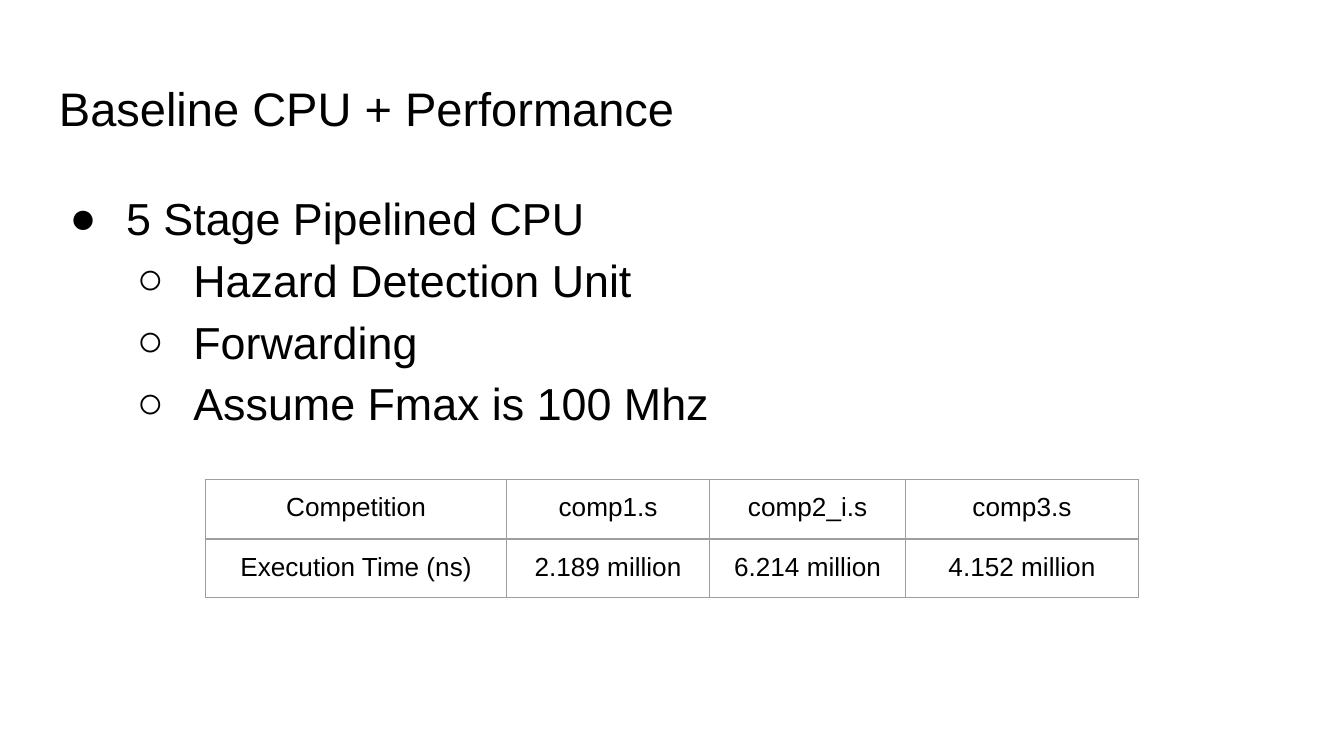
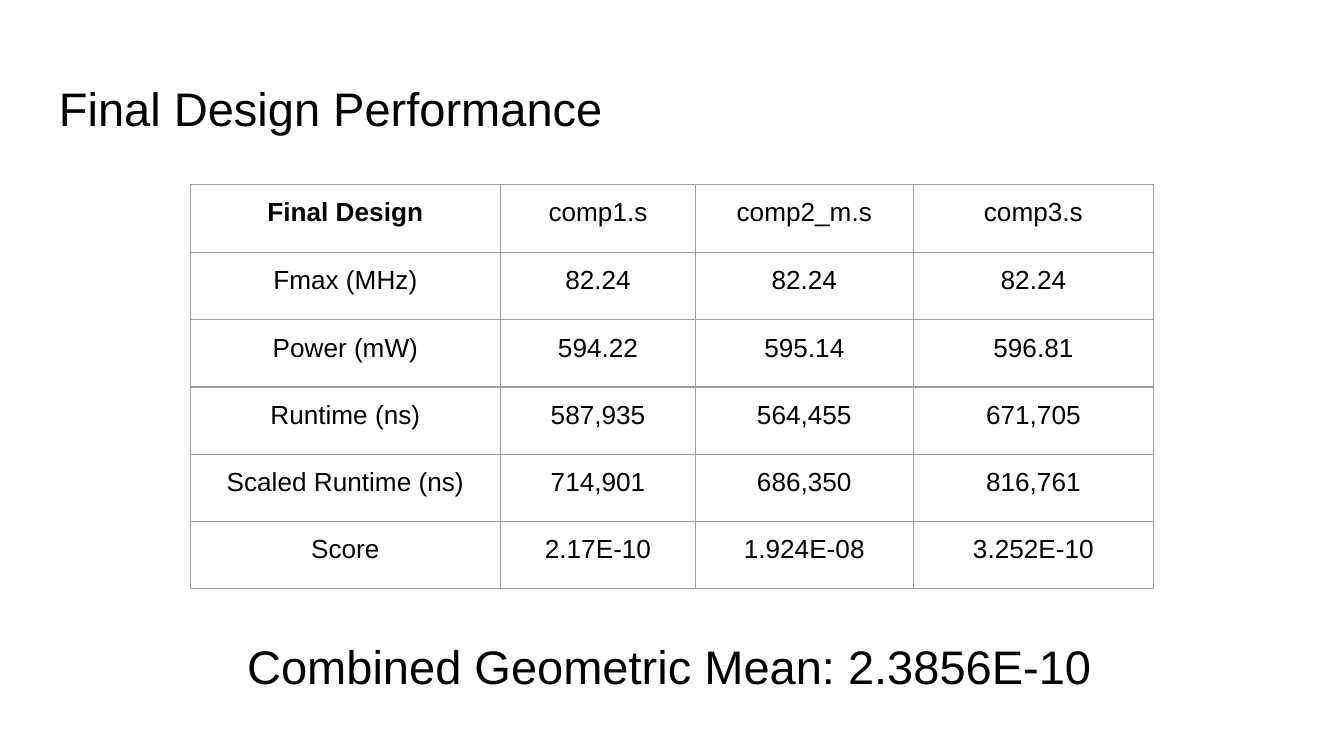
"""Build two slides on the performance of a pipelined CPU."""
from lxml.etree import SubElement
from pptx import Presentation
from pptx.dml.color import RGBColor
from pptx.enum.text import MSO_ANCHOR, PP_ALIGN
from pptx.oxml.ns import qn
from pptx.util import Inches, Pt

WIDTH = 10
HEIGHT = WIDTH * 9 / 16
INSET = 0.1
FONT = "Arial"
COLORS = {"text": "000000", "border": "9E9E9E"}
SIZES = {"title": 25.2, "body": 24, "cell": 14}
TITLE = {"top": 0.49, "width": 9.32, "height": 0.63}
BULLETS = "●○"
INDENT, HANGING = 0.5, 0.42

SLIDES = [
    {
        "title": "Baseline CPU + Performance",
        "features": [
            (0, "5 Stage Pipelined CPU"),
            (1, "Hazard Detection Unit"),
            (1, "Forwarding"),
            (1, "Assume Fmax is 100 Mhz"),
        ],
        "results": {
            "top": 3.57,
            "columns": [2.24, 1.51, 1.46, 1.73],
            "row_heights": [0.44, 0.43],
            "bold_corner": False,
            "rows": [
                ("Competition", "comp1.s", "comp2_i.s", "comp3.s"),
                ("Execution Time (ns)", "2.189 million", "6.214 million", "4.152 million"),
            ],
        },
    },
    {
        "title": "Final Design Performance",
        "results": {
            "top": 1.37,
            "columns": [2.31, 1.45, 1.62, 1.79],
            "row_heights": [0.51] + [0.5] * 5,
            "bold_corner": True,
            "rows": [
                ("Final Design", "comp1.s", "comp2_m.s", "comp3.s"),
                ("Fmax (MHz)", "82.24", "82.24", "82.24"),
                ("Power (mW)", "594.22", "595.14", "596.81"),
                ("Runtime (ns)", "587,935", "564,455", "671,705"),
                ("Scaled Runtime (ns)", "714,901", "686,350", "816,761"),
                ("Score", "2.17E-10", "1.924E-08", "3.252E-10"),
            ],
        },
        "summary": "Combined Geometric Mean: 2.3856E-10",
    },
]


def centered(top, width, height):
    return [Inches(n) for n in ((WIDTH - width) / 2, top, width, height)]


def set_insets(holder):
    holder.margin_left = holder.margin_right = Inches(INSET)
    holder.margin_top = holder.margin_bottom = Inches(INSET)


def style(paragraph, role, bold=False):
    font = paragraph.font
    font.name, font.size, font.bold = FONT, Pt(SIZES[role]), bold
    font.color.rgb = RGBColor.from_string(COLORS["text"])


def add_frame(slide, top, width, height):
    frame = slide.shapes.add_textbox(*centered(top, width, height)).text_frame
    frame.word_wrap = True
    frame.vertical_anchor = MSO_ANCHOR.TOP
    set_insets(frame)
    return frame


def add_heading(slide, text, top, width, height):
    heading = add_frame(slide, top, width, height).paragraphs[0]
    heading.text = text
    style(heading, "title")


def add_bullet(paragraph, level):
    properties = paragraph._p.get_or_add_pPr()
    properties.set("marL", str(Inches(INDENT * (level + 1))))
    properties.set("indent", str(-Inches(HANGING)))
    color = SubElement(properties, qn("a:buClr"))
    SubElement(color, qn("a:srgbClr"), val=COLORS["text"])
    SubElement(properties, qn("a:buFont"), typeface=FONT)
    SubElement(properties, qn("a:buChar"), char=BULLETS[level])


def add_features(slide, features):
    frame = add_frame(slide, 1.26, TITLE["width"], 1.83)
    frame.text = "\n".join(text for _, text in features)
    for paragraph, (level, _) in zip(frame.paragraphs, features):
        paragraph.level = level
        add_bullet(paragraph, level)
        paragraph.line_spacing = 1.15
        style(paragraph, "body")


def add_borders(cell):
    properties = cell._tc.get_or_add_tcPr()
    for side in ("lnL", "lnR", "lnT", "lnB"):
        line = SubElement(properties, qn(f"a:{side}"), w=str(Pt(0.75)))
        fill = SubElement(line, qn("a:solidFill"))
        SubElement(fill, qn("a:srgbClr"), val=COLORS["border"])


def add_results(slide, results):
    rows, columns, heights = results["rows"], results["columns"], results["row_heights"]
    place = centered(results["top"], sum(columns), sum(heights))
    table = slide.shapes.add_table(len(rows), len(columns), *place).table
    table.first_row = table.horz_banding = False
    for column, width in zip(table.columns, columns):
        column.width = Inches(width)
    for r, (values, height) in enumerate(zip(rows, heights)):
        table.rows[r].height = Inches(height)
        for c, value in enumerate(values):
            cell = table.cell(r, c)
            cell.text = value
            set_insets(cell)
            add_borders(cell)
            cell.fill.background()
            paragraph = cell.text_frame.paragraphs[0]
            paragraph.alignment = PP_ALIGN.CENTER
            style(paragraph, "cell", results["bold_corner"] and r == c == 0)


def main():
    deck = Presentation()
    deck.slide_width, deck.slide_height = Inches(WIDTH), Inches(HEIGHT)
    for content in SLIDES:
        slide = deck.slides.add_slide(deck.slide_layouts[6])
        add_heading(slide, content["title"], **TITLE)
        if "features" in content:
            add_features(slide, content["features"])
        add_results(slide, content["results"])
        if "summary" in content:
            add_heading(slide, content["summary"], 4.64, 6.52, TITLE["height"])
    deck.save("out.pptx")


if __name__ == "__main__":
    main()
